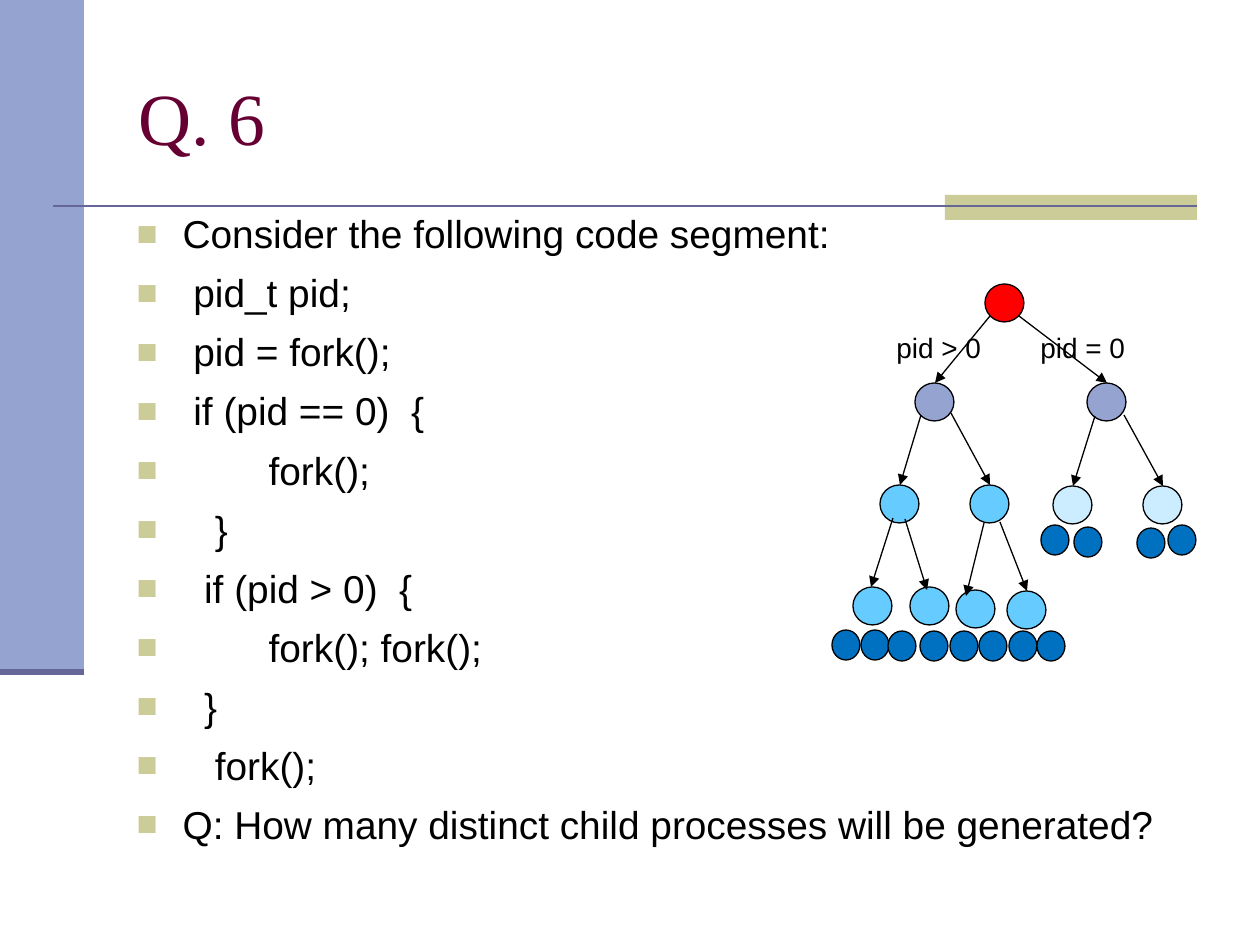
from dataclasses import dataclass

from lxml.etree import SubElement
from pptx import Presentation
from pptx.dml.color import RGBColor
from pptx.enum.shapes import MSO_CONNECTOR, MSO_SHAPE
from pptx.enum.text import MSO_ANCHOR, MSO_AUTO_SIZE, PP_ALIGN
from pptx.oxml.ns import qn
from pptx.util import Emu, Pt

EMU_PER_PX = 914400 / 126


@dataclass(frozen=True)
class Theme:
    band: str = "95A3D1"
    rule: str = "666699"
    accent: str = "CCCC99"
    heading: str = "660033"
    text: str = "000000"
    root: str = "FF0000"
    worker: str = "66CCFF"
    child: str = "CCECFF"
    leaf: str = "0070C0"
    heading_font: str = "Times New Roman"
    body_font: str = "Arial"
    heading_size: float = 42
    body_size: float = 22.2
    label_size: float = 16
    outline: float = 0.75


THEME = Theme()

CODE_LINES = [
    "Consider the following code segment:",
    " pid_t pid;",
    " pid = fork();",
    " if (pid == 0)  {",
    "        fork();",
    "   }",
    "  if (pid > 0)  {",
    "        fork(); fork();",
    "  }",
    "   fork();",
    "Q: How many distinct child processes will be generated?",
]

# Process tree: size, colour and top-left corners of each generation
PROCESS_SIZE = (39, 38)
LEAF_SIZE = (28, 30)
GENERATIONS = [
    (LEAF_SIZE, THEME.leaf, [
        (832, 630), (861, 630), (888, 631), (920, 631),
        (950, 631), (979, 631), (1009, 631), (1037, 631),
        (1041, 525), (1074, 527), (1137, 528), (1168, 525)]),
    (PROCESS_SIZE, THEME.root, [(985, 284)]),
    (PROCESS_SIZE, THEME.band, [(915, 383), (1087, 383)]),
    (PROCESS_SIZE, THEME.worker, [
        (880, 485), (970, 485),
        (853, 587), (910, 587), (956, 590), (1007, 591)]),
    (PROCESS_SIZE, THEME.child, [(1053, 486), (1143, 486)]),
]

# Forks from parent to child: start x, y and end x, y
FORKS = [
    (990, 316, 935, 383), (1019, 316, 1107, 383),
    (921, 415, 900, 485), (951, 413, 990, 485),
    (1095, 416, 1073, 486), (1124, 415, 1163, 486),
    (893, 518, 871, 587), (905, 519, 927, 590),
    (984, 523, 966, 596), (1000, 522, 1027, 591),
]


def px(*lengths):
    return [Emu(round(length * EMU_PER_PX)) for length in lengths]


def rgb(color):
    return RGBColor.from_string(color)


def set_font(paragraph, name, size, color):
    paragraph.font.name = name
    paragraph.font.size = Pt(size)
    paragraph.font.color.rgb = rgb(color)


def add_filled(slide, preset, box, fill, outline=None):
    shape = slide.shapes.add_shape(preset, *px(*box))
    shape.shadow.inherit = False
    shape.fill.solid()
    shape.fill.fore_color.rgb = rgb(fill)
    if outline:
        shape.line.color.rgb = rgb(outline)
        shape.line.width = Pt(THEME.outline)
    else:
        shape.line.fill.background()


def add_line(slide, ends, color, width, arrow=False):
    line = slide.shapes.add_connector(MSO_CONNECTOR.STRAIGHT, *px(*ends))
    line.line.color.rgb = rgb(color)
    line.line.width = Pt(width)
    if arrow:
        SubElement(line.line._get_or_add_ln(), qn("a:tailEnd"), type="triangle")
    SubElement(line._element.spPr, qn("a:effectLst"))


def add_label(slide, box, text):
    frame = slide.shapes.add_textbox(*px(*box)).text_frame
    frame.word_wrap = True
    frame.text = text
    set_font(frame.paragraphs[0], THEME.body_font, THEME.label_size, THEME.text)


def place(slide, placeholder, box):
    """Move a placeholder to its box, in front of the decoration."""
    slide.shapes._spTree.append(placeholder._element)
    placeholder.left, placeholder.top, placeholder.width, placeholder.height = px(*box)
    frame = placeholder.text_frame
    frame.auto_size = MSO_AUTO_SIZE.NONE
    frame.word_wrap = True
    return frame


def add_square_bullet(paragraph):
    indent = px(46)[0]
    props = paragraph._p.get_or_add_pPr()
    props.set("marL", str(indent))
    props.set("indent", str(-indent))
    color = SubElement(props, qn("a:buClr"))
    SubElement(color, qn("a:srgbClr"), val=THEME.accent)
    SubElement(props, qn("a:buSzPct"), val="90000")
    SubElement(props, qn("a:buFont"), typeface=THEME.body_font)
    SubElement(props, qn("a:buChar"), char="■")


def fill_title(slide, text):
    frame = place(slide, slide.shapes.title, (126, 38, 1071, 157))
    frame.vertical_anchor = MSO_ANCHOR.MIDDLE
    frame.text = text
    heading = frame.paragraphs[0]
    heading.alignment = PP_ALIGN.LEFT
    set_font(heading, THEME.heading_font, THEME.heading_size, THEME.heading)


def fill_body(slide, lines):
    frame = place(slide, slide.placeholders[1], (124, 199, 1073, 624))
    frame.margin_top = px(11)[0]
    frame.text = "\n".join(lines)
    for number, paragraph in enumerate(frame.paragraphs):
        paragraph.space_before = Pt(7.1 if number else 0)
        add_square_bullet(paragraph)
        set_font(paragraph, THEME.body_font, THEME.body_size, THEME.text)


def draw_decoration(slide):
    add_filled(slide, MSO_SHAPE.RECTANGLE, (0, 0, 84, 672), THEME.band)
    add_filled(slide, MSO_SHAPE.RECTANGLE, (945, 195, 252, 25), THEME.accent)
    add_line(slide, (53, 206, 1197, 206), THEME.rule, 1.5)
    add_line(slide, (0, 672, 84, 672), THEME.rule, 3.5)


def draw_process_tree(slide):
    for size, color, corners in GENERATIONS:
        for corner in corners:
            add_filled(slide, MSO_SHAPE.OVAL, corner + size, color, THEME.text)
    for ends in FORKS:
        add_line(slide, ends, THEME.text, THEME.outline, arrow=True)
    add_label(slide, (1028, 324, 144, 47), "pid = 0")
    add_label(slide, (884, 324, 170, 47), "pid > 0")


def main():
    deck = Presentation()
    deck.slide_width, deck.slide_height = px(1260, 945)
    slide = deck.slides.add_slide(deck.slide_layouts[1])
    draw_decoration(slide)
    fill_title(slide, "Q. 6")
    fill_body(slide, CODE_LINES)
    draw_process_tree(slide)
    deck.save("out.pptx")


if __name__ == "__main__":
    main()
